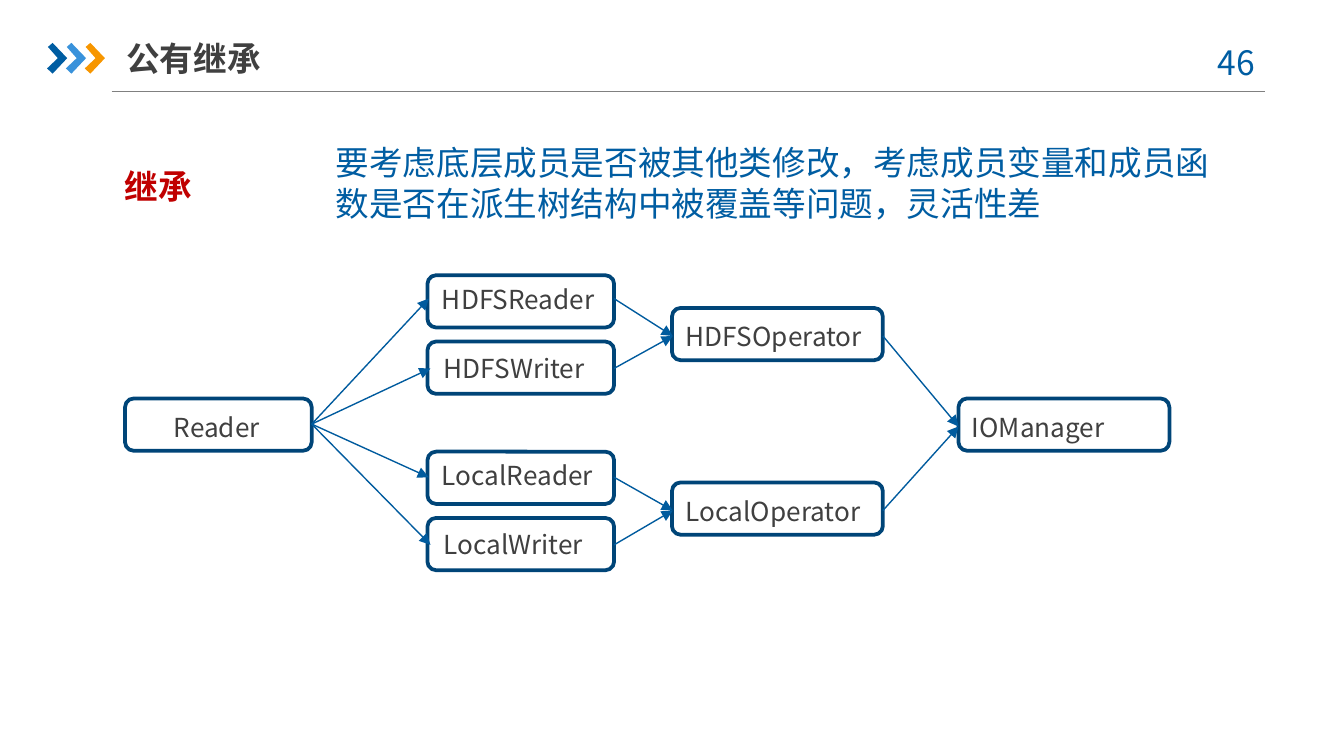
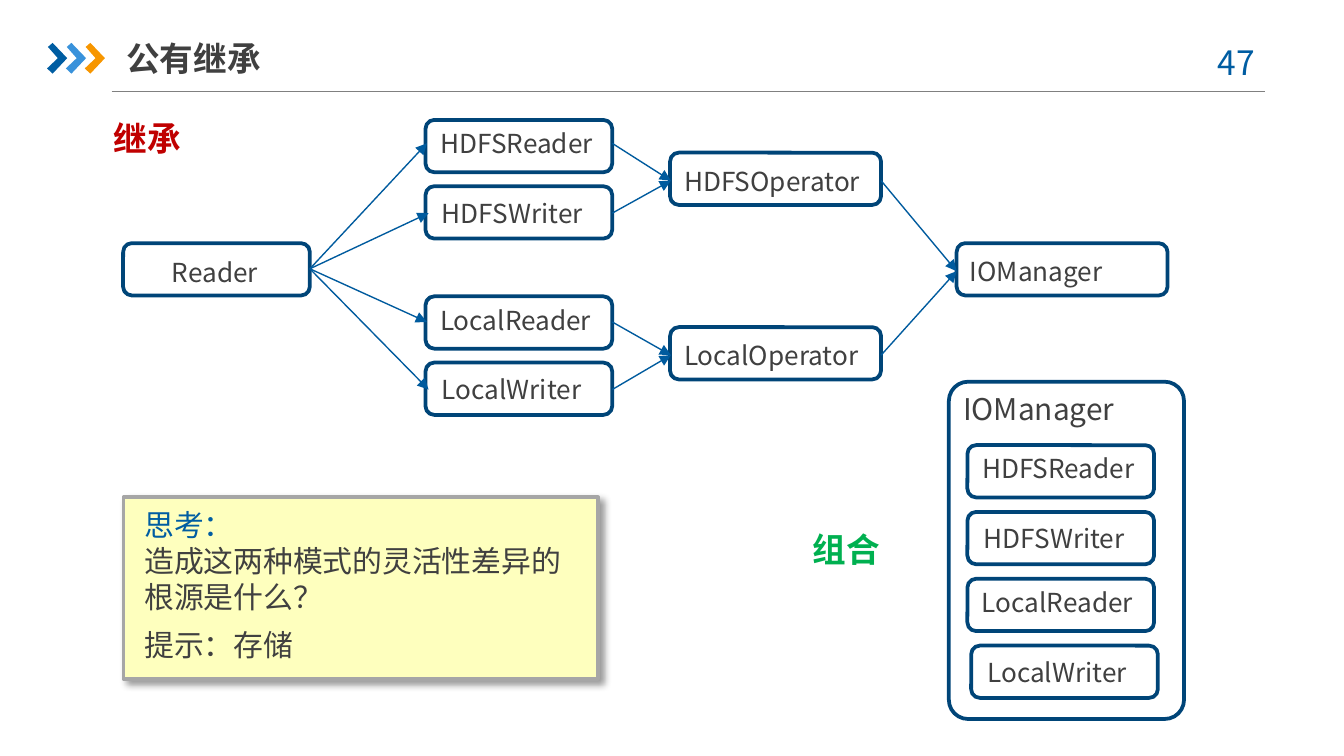
from collections import namedtuple
from dataclasses import dataclass

from lxml import etree
from pptx import Presentation
from pptx.dml.color import RGBColor
from pptx.enum import shapes, text
from pptx.oxml import ns
from pptx.util import Pt

Box = namedtuple("Box", "left top width height")
Label = namedtuple("Label", "shift drop width port")
Node = namedtuple("Node", "left top width")


@dataclass(frozen=True)
class Theme:
    font: str = "Noto Sans CJK SC"
    blue: str = "005DA2"
    sky: str = "3992DB"
    orange: str = "F79600"
    ink: str = "404040"
    red: str = "C00000"
    green: str = "00B050"
    navy: str = "004578"
    arrow: str = "005B9E"
    rule: str = "808080"
    note: str = "FEFFBE"
    note_edge: str = "A6A6A6"
    heading: float = 18
    body: float = 16
    label: float = 14
    leading: float = 1.22
    thin: float = 0.75
    thick: float = 2


THEME = Theme()
NODE_HEIGHT = 28
LABEL_HEIGHT = 24.5
CHEVRON = [(0.5, 2.2), (3, 0), (10.8, 8.2), (3, 16.5), (0, 13.7), (5.8, 8.2)]

LABELS = {
    "Reader": Label(19, 3, 62, 13.7),
    "HDFSReader": Label(0.7, 0.3, 99, 12.5),
    "HDFSWriter": Label(1.6, 1.9, 94, 14.4),
    "LocalReader": Label(0.7, 0.3, 96.5, 13.7),
    "LocalWriter": Label(1.6, 1.9, 91.5, 14.4),
    "HDFSOperator": Label(0.4, 2.9, 113, 15),
    "LocalOperator": Label(0.4, 2.9, 111, 15),
    "IOManager": Label(0, 2.9, 91, 15),
}
TREE = {
    "Reader": Node(0, 66, 100),
    "HDFSReader": Node(162, 0, 100),
    "HDFSWriter": Node(162, 35.5, 100),
    "LocalReader": Node(162, 94.5, 100),
    "LocalWriter": Node(162, 130, 100),
    "HDFSOperator": Node(293, 17.5, 113),
    "LocalOperator": Node(293, 111, 113),
    "IOManager": Node(446.5, 66, 113),
}
MEMBERS = ["HDFSReader", "HDFSWriter", "LocalReader", "LocalWriter"]
LINKS = [("Reader", member) for member in MEMBERS] + [
    ("HDFSReader", "HDFSOperator"),
    ("HDFSWriter", "HDFSOperator"),
    ("LocalReader", "LocalOperator"),
    ("LocalWriter", "LocalOperator"),
    ("HDFSOperator", "IOManager"),
    ("LocalOperator", "IOManager"),
]


def rgb(value):
    return RGBColor.from_string(value)


def points(values):
    return [Pt(value) for value in values]


def write(frame, paragraphs, size=THEME.heading, color=THEME.ink, bold=False,
          align=text.PP_ALIGN.LEFT, anchor=text.MSO_ANCHOR.TOP, wrap=True,
          inset=7.2, after=0):
    frame.word_wrap = wrap
    frame.vertical_anchor = anchor
    frame.margin_left = frame.margin_right = Pt(inset)
    frame.margin_top = frame.margin_bottom = Pt(3.6)
    if isinstance(paragraphs, str):
        paragraphs = [[(paragraphs, color)]]
    for index, spans in enumerate(paragraphs):
        para = frame.add_paragraph() if index else frame.paragraphs[0]
        para.alignment = align
        para.line_spacing = Pt(round(size * THEME.leading, 1))
        para.space_after = Pt(after)
        for position, (words, tint) in enumerate(spans):
            if position:
                para.add_line_break()
            span = para.add_run()
            span.text = words
            span.font.name = THEME.font
            span.font.size = Pt(size)
            span.font.bold = bold
            span.font.color.rgb = rgb(tint)
            east = etree.SubElement(span.font._element, ns.qn("a:ea"))
            east.set("typeface", THEME.font)


def add_text(page, box, words, **style):
    write(page.shapes.add_textbox(*points(box)).text_frame, words, **style)


def paint(shape, fill=None, line=None):
    shape.shadow.inherit = False
    if fill:
        shape.fill.solid()
        shape.fill.fore_color.rgb = rgb(fill)
    else:
        shape.fill.background()
    if line:
        shape.line.color.rgb = rgb(line)
        shape.line.width = Pt(THEME.thick)
    else:
        shape.line.fill.background()


def add_panel(page, box, kind=shapes.MSO_SHAPE.ROUNDED_RECTANGLE, **colors):
    panel = page.shapes.add_shape(kind, *points(box))
    paint(panel, **colors)
    return panel


def add_line(page, start, end, color, arrow=False):
    line = page.shapes.add_connector(
        shapes.MSO_CONNECTOR.STRAIGHT, *points(start), *points(end))
    line.line.color.rgb = rgb(color)
    line.line.width = Pt(THEME.thin)
    if arrow:
        tail = etree.SubElement(line.line._get_or_add_ln(), ns.qn("a:tailEnd"))
        tail.set("type", "triangle")
    etree.SubElement(line._element.spPr, ns.qn("a:effectLst"))


def add_shadow(shape):
    effects = shape._element.spPr.find(ns.qn("a:effectLst"))
    shadow = etree.SubElement(
        effects, ns.qn("a:outerShdw"), blurRad=str(Pt(4)), dist=str(Pt(3)),
        dir=str(45 * 60000), algn="tl", rotWithShape="0")
    color = etree.SubElement(shadow, ns.qn("a:srgbClr"), val="000000")
    etree.SubElement(color, ns.qn("a:alpha"), val="40000")


def add_chevron(page, left, top, color):
    corners = [(Pt(left + x), Pt(top + y)) for x, y in CHEVRON]
    builder = page.shapes.build_freeform(*corners[0])
    builder.add_line_segments(corners[1:], close=True)
    paint(builder.convert_to_shape(), fill=color)


def add_header(page, box, title, number):
    left, top, width, height = box
    add_line(page, (left + 34.6, top + height),
             (left + width, top + height), THEME.rule)
    for index, color in enumerate((THEME.blue, THEME.sky, THEME.orange)):
        add_chevron(page, left + 10.1 * index, top + 7.2, color)
    add_text(page, Box(left + width - 41.5, top + 2.9, 52.5, 28.8), number,
             color=THEME.blue, align=text.PP_ALIGN.CENTER)
    add_text(page, Box(left + 42.5, top, 190, 30.2), title, bold=True,
             anchor=text.MSO_ANCHOR.MIDDLE, inset=0)


def add_heading(page, left, top, words, color):
    add_text(page, Box(left, top, 57.6, 28.8), words, color=color, bold=True)


def add_node(page, left, top, width, name):
    label = LABELS[name]
    add_panel(page, Box(left, top, width, NODE_HEIGHT), line=THEME.navy)
    add_text(page, Box(left + label.shift, top + label.drop,
                       label.width, LABEL_HEIGHT),
             name, size=THEME.label, wrap=False)


def add_tree(page, left, top):
    for name, node in TREE.items():
        add_node(page, left + node.left, top + node.top, node.width, name)
    for source, target in LINKS:
        start, end = TREE[source], TREE[target]
        add_line(page,
                 (left + start.left + start.width,
                  top + start.top + LABELS[source].port),
                 (left + end.left + LABELS[target].shift,
                  top + end.top + LABELS[target].port),
                 THEME.arrow, arrow=True)


def add_composition(page, box):
    panel = add_panel(page, box, line=THEME.navy)
    panel.adjustments[0] = 0.082
    add_text(page, Box(box.left + 0.6, box.top + 0.7, 102, 26.6),
             "IOManager", size=THEME.body, wrap=False)
    for index, name in enumerate(MEMBERS):
        indent = 12 if name == MEMBERS[-1] else 10
        add_node(page, box.left + indent, box.top + 34 + 35.8 * index, 100, name)


def add_note(page, box, paragraphs):
    rectangle = shapes.MSO_SHAPE.RECTANGLE
    frame = add_panel(page, box, rectangle, fill=THEME.note, line=THEME.note_edge)
    add_shadow(frame)
    inner = Box(box.left + 4, box.top + 1, box.width - 16, box.height - 6.5)
    sheet = add_panel(page, inner, rectangle, fill=THEME.note)
    write(sheet.text_frame, paragraphs, size=THEME.body, after=6)


def add_page(deck, number):
    page = deck.slides.add_slide(deck.slide_layouts[6])
    add_header(page, Box(25.2, 15.8, 652.3, 33.2), "公有继承", number)
    return page


def build_inheritance(deck):
    page = add_page(deck, "46")
    add_heading(page, 59.8, 85, "继承", THEME.red)
    add_tree(page, 67, 147.5)
    add_text(page, Box(172.8, 72, 496, 51),
             "要考虑底层成员是否被其他类修改，考虑成员变量和成员函数"
             "是否在派生树结构中被覆盖等问题，灵活性差", color=THEME.blue)


def build_comparison(deck):
    page = add_page(deck, "47")
    add_heading(page, 54, 59, "继承", THEME.red)
    add_tree(page, 66, 64.3)
    add_composition(page, Box(508.3, 204.5, 126, 180.7))
    add_heading(page, 428.4, 279.4, "组合", THEME.green)
    add_note(page, Box(66.2, 266.4, 254.2, 97.2), [
        [("思考：", THEME.blue),
         ("造成这两种模式的灵活性差异的根源是什么？", THEME.ink)],
        [("提示：存储", THEME.ink)],
    ])


def main():
    deck = Presentation()
    deck.slide_width, deck.slide_height = Pt(720), Pt(405)
    build_inheritance(deck)
    build_comparison(deck)
    deck.save("out.pptx")


if __name__ == "__main__":
    main()
